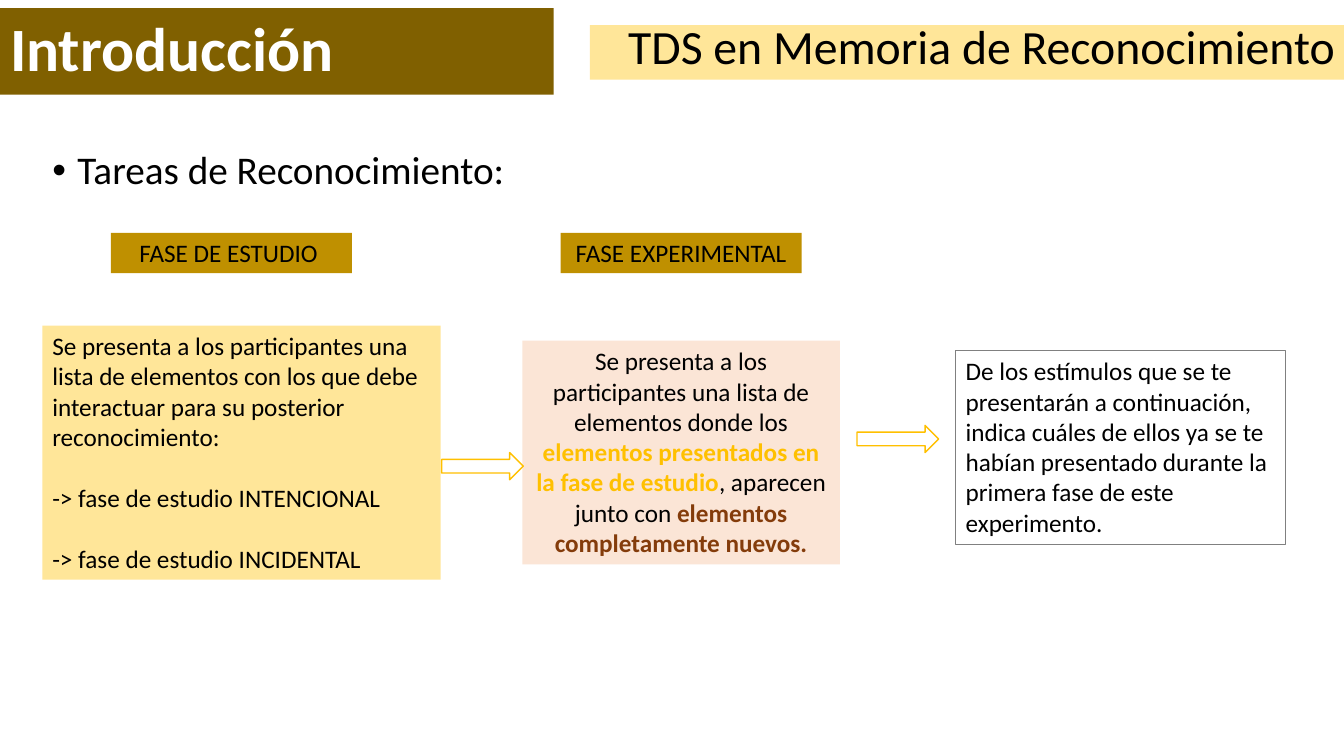
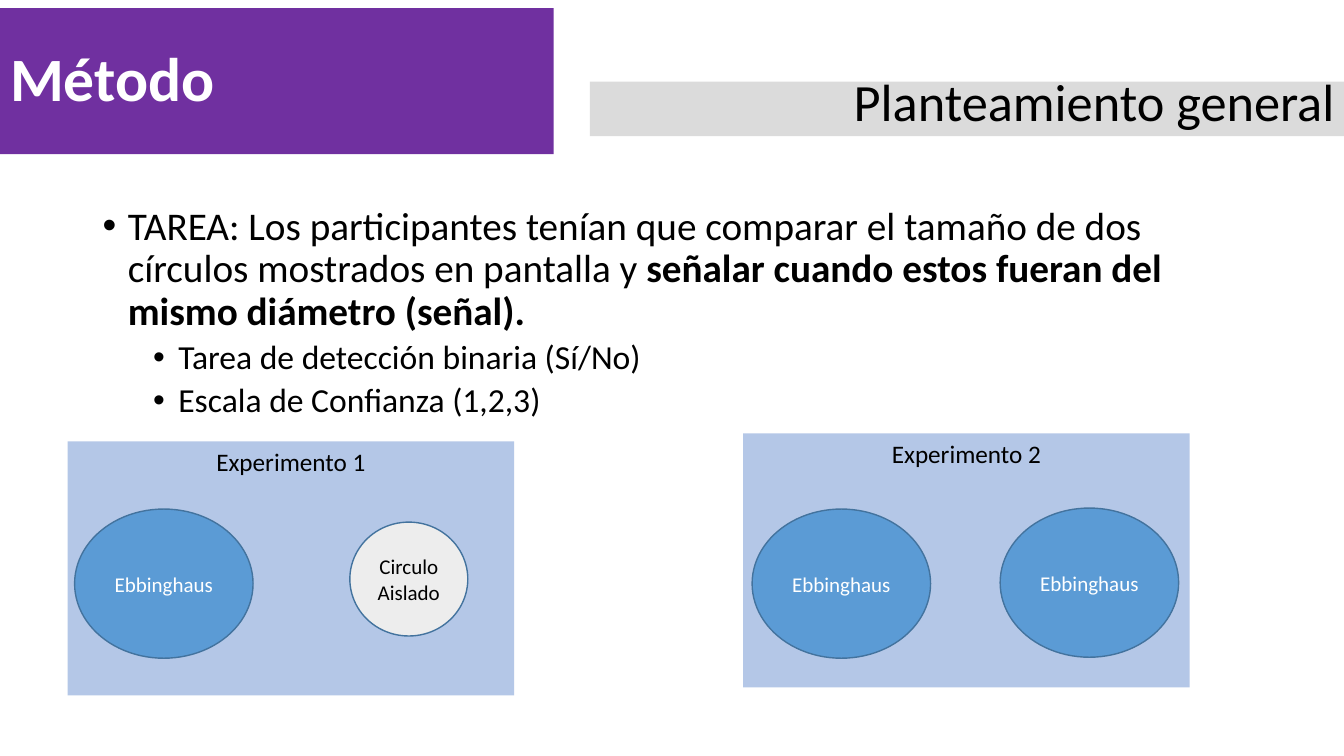
from lxml import etree
from pptx import Presentation
from pptx.dml.color import RGBColor
from pptx.enum import shapes, text
from pptx.oxml import ns
from pptx.util import Inches, Pt

HUES = {
    "black": "000000", "white": "FFFFFF", "brown": "806000", "cream": "FFE699",
    "ochre": "BF9000", "peach": "FBE5D6", "gold": "FFC000", "rust": "843C0B",
    "gray": "808080", "purple": "7030A0", "silver": "DBDBDB", "pale": "B4C7E7",
    "blue": "5B9BD5", "navy": "43739E", "mist": "EDEDED",
}
KIND = shapes.MSO_SHAPE
LEFT, MID, RIGHT = text.PP_ALIGN.LEFT, text.PP_ALIGN.CENTER, text.PP_ALIGN.RIGHT
TOP, CORE = text.MSO_ANCHOR.TOP, text.MSO_ANCHOR.MIDDLE
FONT = "Calibri"


def hue(name):
    return RGBColor.from_string(HUES[name])


def apply(item, form):
    for key, value in form.items():
        setattr(item, key, value)


def place(shape, area):
    apply(shape, dict(zip(("left", "top", "width", "height"), map(Inches, area))))


def paint(shape, fill=None, line=None, width=1):
    if fill:
        shape.fill.solid()
        shape.fill.fore_color.rgb = hue(fill)
    else:
        shape.fill.background()
    if line:
        shape.line.color.rgb = hue(line)
        shape.line.width = Pt(width)
    else:
        shape.line.fill.background()


def write(shape, paras, size=18, color="black", anchor=TOP, **form):
    frame = shape.text_frame
    apply(frame, {"word_wrap": True, "auto_size": text.MSO_AUTO_SIZE.NONE,
                  "vertical_anchor": anchor})
    for index, runs in enumerate(paras):
        para = frame.paragraphs[0] if index == 0 else frame.add_paragraph()
        apply(para, {"alignment": LEFT, **form})
        for words, tint, bold in runs:
            run = para.add_run()
            run.text = words
            apply(run.font, {"name": FONT, "size": Pt(size), "bold": bold})
            run.font.color.rgb = hue(tint or color)
    return frame.paragraphs


def plain(*lines):
    return [[(line, None, False)] for line in lines]


def shape(slide, kind, area, **look):
    item = slide.shapes.add_shape(kind, *map(Inches, area))
    item.shadow.inherit = False
    paint(item, **look)
    return item


def box(slide, area, paras, fill=None, line=None, **form):
    item = shape(slide, KIND.RECTANGLE, area, fill=fill, line=line, width=0.75)
    return write(item, paras, **form)


def oval(slide, area, words, fill="blue", color="white"):
    item = shape(slide, KIND.OVAL, area, fill=fill, line="navy")
    write(item, plain(words), size=15, color=color, anchor=CORE, alignment=MID)


def arrow(slide, left, top):
    shape(slide, KIND.RIGHT_ARROW, (left, top, 0.81, 0.27), fill="white", line="gold")


def bullet(para, size, indent, gap):
    apply(para, {"line_spacing": 0.9, "space_before": Pt(gap)})
    for run in para.runs:
        run.font.size = Pt(size)
    props = para._p.get_or_add_pPr()
    props.set("marL", str(Inches(indent)))
    props.set("indent", str(Inches(-0.25)))
    etree.SubElement(props, ns.qn("a:buFont")).set("typeface", "Arial")
    etree.SubElement(props, ns.qn("a:buChar")).set("char", "•")


def body(slide, area, paras):
    item = slide.shapes.add_textbox(*map(Inches, area))
    for index, para in enumerate(write(item, paras)):
        bullet(para, *((24, 0.75, 5) if index else (28, 0.25, 10)))


def start(deck, title, fill, height, topic, band, top, size):
    slide = deck.slides.add_slide(deck.slide_layouts[5])
    head = slide.shapes.title
    place(head, (0, 0.08, 5.49, height))
    paint(head, fill)
    write(head, [[(title, "white", True)]], size=44, anchor=CORE, line_spacing=0.9)
    box(slide, (5.85, top, 7.49, 0.54), plain(topic), fill=band,
        size=size, anchor=CORE, alignment=RIGHT, line_spacing=0.7)
    return slide


def intro(deck):
    slide = start(deck, "Introducción", "brown", 0.86,
                  "TDS en Memoria de Reconocimiento", "cream", 0.25, 34.1)
    body(slide, (0.42, 1.45, 11.99, 0.7), plain("Tareas de Reconocimiento:"))
    for left, label in ((1.1, "FASE DE ESTUDIO "), (5.56, "FASE EXPERIMENTAL")):
        box(slide, (left, 2.31, 2.39, 0.4), plain(label), fill="ochre", alignment=MID)
    study = box(slide, (0.42, 3.23, 3.95, 2.52), plain(
        "Se presenta a los participantes una lista de elementos con los que debe "
        "interactuar para su posterior reconocimiento:",
        "-> fase de estudio INTENCIONAL",
        "-> fase de estudio INCIDENTAL"), fill="cream")
    for para in study[1:]:
        para.space_before = Pt(22)
    box(slide, (5.18, 3.38, 3.15, 2.22), [[
        ("Se presenta a los participantes una lista de elementos donde los ", None, False),
        ("elementos presentados en la fase de estudio", "gold", True),
        (", aparecen junto con ", None, False),
        ("elementos completamente nuevos.", "rust", True)]],
        fill="peach", alignment=MID)
    box(slide, (9.48, 3.48, 3.27, 1.92), plain(
        "De los estímulos que se te presentarán a continuación, indica cuáles de ellos "
        "ya se te habían presentado durante la primera fase de este experimento."),
        line="gray")
    arrow(slide, 4.38, 4.49)
    arrow(slide, 8.5, 4.22)


def method(deck):
    slide = start(deck, "Método", "purple", 1.45,
                  "Planteamiento general", "silver", 0.81, 37.4)
    body(slide, (0.92, 2, 11.5, 2.3), [[
        ("TAREA: Los participantes tenían que comparar el tamaño de dos círculos "
         "mostrados en pantalla y ", None, False),
        ("señalar cuando estos fueran del mismo diámetro (señal).", None, True)],
        *plain("Tarea de detección binaria (Sí/No)", "Escala de Confianza (1,2,3)")])
    for number, (left, top) in enumerate(((0.67, 4.38), (7.37, 4.3)), 1):
        box(slide, (left, top, 4.43, 2.52), plain(f"Experimento {number}"),
            fill="pale", alignment=MID)
    for left, top in ((0.74, 5.05), (7.46, 5.05), (9.92, 5.04)):
        oval(slide, (left, top, 1.77, 1.48), "Ebbinghaus")
    oval(slide, (3.47, 5.18, 1.17, 1.13), "Circulo Aislado", "mist", "black")


def main():
    deck = Presentation()
    apply(deck, {"slide_width": Inches(13.33), "slide_height": Inches(7.5)})
    intro(deck)
    method(deck)
    deck.save("out.pptx")


if __name__ == "__main__":
    main()
